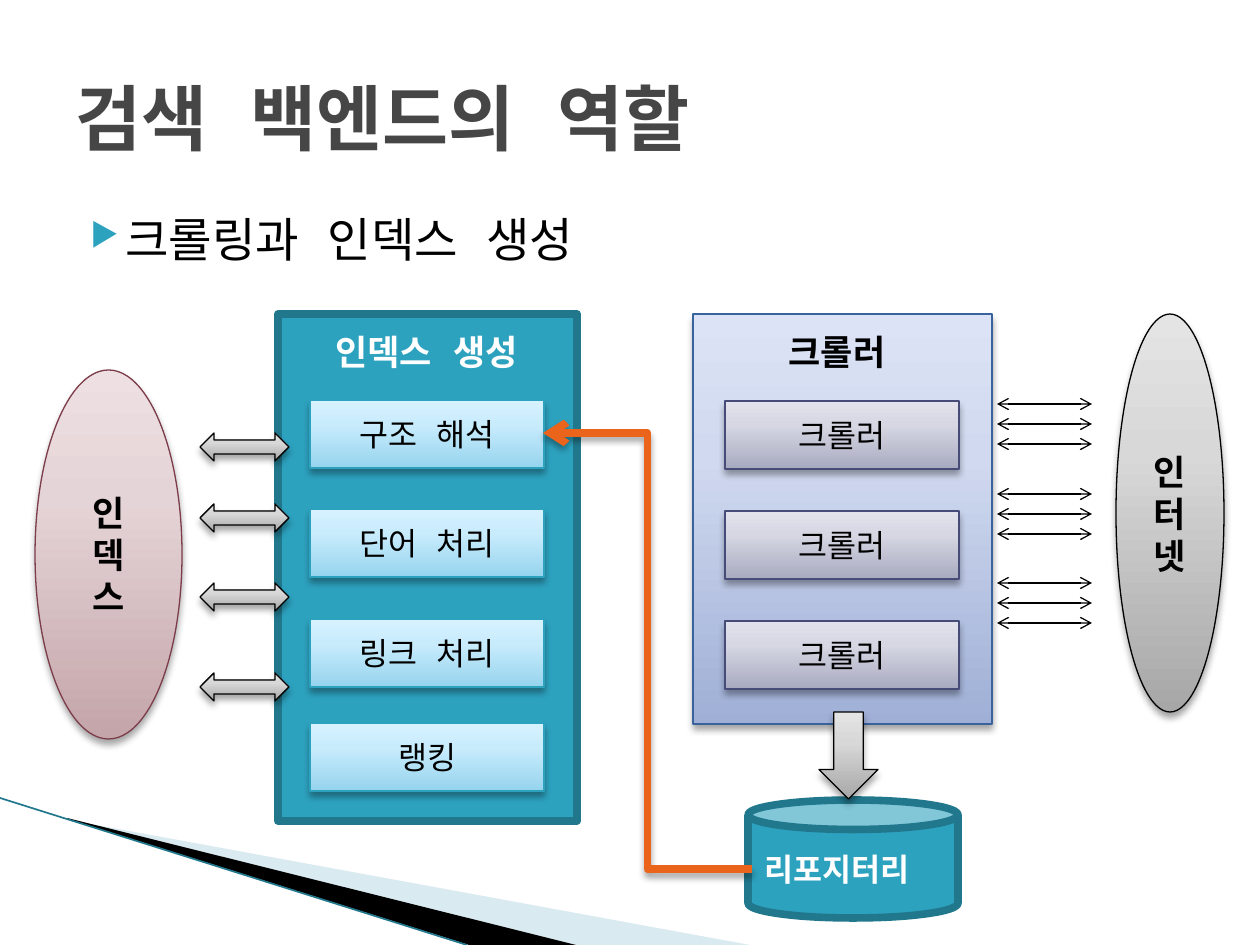
from dataclasses import dataclass

from lxml.etree import SubElement
from pptx import Presentation
from pptx.dml.color import RGBColor
from pptx.enum.shapes import MSO_CONNECTOR as Connector, MSO_SHAPE as Shape
from pptx.enum.text import MSO_ANCHOR as Anchor, MSO_AUTO_SIZE as AutoSize, PP_ALIGN as Align
from pptx.oxml.ns import qn
from pptx.util import Emu, Pt

SCALE = 914400 / 126  # EMU in one px


@dataclass(frozen=True)
class Theme:
    font: str = "Noto Sans Mono"
    title_size: int = 41
    body_size: int = 27
    heading_size: int = 20
    label_size: int = 18
    thin: float = 0.75
    thick: float = 4.33
    black: str = "000000"
    white: str = "FFFFFF"
    title: str = "464646"
    teal: str = "2DA2BF"
    dark_teal: str = "21788D"
    orange: str = "EB641B"
    pale: str = "A0CBDC"
    # gradient colours run from the bottom edge to the top edge
    sky: tuple = ("96D4EE", "C9ECFC", "D7F2FF")
    rose: tuple = ("C4A5A9", "E5D4D7", "EEE0E2")
    gray: tuple = ("A7A7A7", "D8D8D8", "E4E4E4")
    blue: tuple = ("9FAFD6", "D0D9EF", "DCE3F6")
    lilac: tuple = ("A8AAC0", "D6D7E3", "E2E2EC")
    rose_line: str = "7D3C4A"
    blue_line: str = "39639D"
    lilac_line: str = "474B78"


THEME = Theme()


def px(*lengths):
    return [Emu(round(length * SCALE)) for length in lengths]


def apply_format(target, values):
    for name, value in values.items():
        setattr(target, name, value)


def add_element(parent, tag, **attributes):
    return SubElement(parent, qn(tag), {name: str(value) for name, value in attributes.items()})


def add_effects(properties, shadow):
    effects = add_element(properties, "a:effectLst")
    if shadow:
        outer = add_element(effects, "a:outerShdw", blurRad=Pt(4), dist=Pt(3),
                            dir=90 * 60000, rotWithShape=0)
        color = add_element(outer, "a:srgbClr", val=THEME.black)
        add_element(color, "a:alpha", val=35000)


def set_line(line, color, width):
    line.color.rgb = RGBColor.from_string(color)
    line.width = Pt(width)


def set_fill(shape, fill):
    """Fill with one colour, or with a three-colour gradient."""
    if isinstance(fill, str):
        shape.fill.solid()
        shape.fill.fore_color.rgb = RGBColor.from_string(fill)
        return
    shape.fill.gradient()
    shape.fill.gradient_angle = 90
    stops = next(shape._element.spPr.iter(qn("a:gsLst")))
    for stop in list(stops):
        stops.remove(stop)
    for position, color in zip((0, 65000, 100000), fill):
        add_element(add_element(stops, "a:gs", pos=position), "a:srgbClr", val=color)


def write_text(frame, lines, size, color, bold=False, align=Align.LEFT):
    for index, text in enumerate(lines):
        paragraph = frame.paragraphs[0] if index == 0 else frame.add_paragraph()
        paragraph.alignment = align
        run = paragraph.add_run()
        run.text = text
        run.font.color.rgb = RGBColor.from_string(color)
        apply_format(run.font, {"size": Pt(size), "bold": bold, "name": THEME.font})
        add_element(run._r.rPr, "a:ea", typeface=THEME.font)


def add_box(slide, kind, box, fill, line, width=THEME.thin, shadow=True,
            lines=(), size=THEME.label_size, bold=False):
    shape = slide.shapes.add_shape(kind, *px(*box))
    set_fill(shape, fill)
    set_line(shape.line, line, width)
    add_effects(shape._element.spPr, shadow)
    apply_format(shape.text_frame, {"word_wrap": True, "vertical_anchor": Anchor.MIDDLE})
    write_text(shape.text_frame, lines, size, THEME.black, bold, Align.CENTER)


def add_text(slide, box, text, size, color, bold=False, **frame_format):
    frame = slide.shapes.add_textbox(*px(*box)).text_frame
    apply_format(frame, {"word_wrap": True, **frame_format})
    write_text(frame, [text], size, color, bold)
    return frame


def add_label(slide, box, text, size, color):
    add_text(slide, box, text, size, color, True,
             word_wrap=False, auto_size=AutoSize.SHAPE_TO_FIT_TEXT)


def add_line(slide, kind, ends, color, width, arrows=(), shadow=False):
    line = slide.shapes.add_connector(kind, *px(*ends))
    set_line(line.line, color, width)
    properties = line._element.spPr
    for end in arrows:
        add_element(properties.find(qn("a:ln")), f"a:{end}", type="arrow")
    add_effects(properties, shadow)


def draw_corner(slide):
    """Draw the wedges in the lower left corner."""
    wedges = (
        (THEME.pale, 40000, [(69, 820), (750, 945), (575, 945), (69, 819)]),
        (THEME.black, 100000, [(67, 818), (576, 945), (469, 945), (68, 819)]),
    )
    for color, alpha, points in wedges:
        builder = slide.shapes.build_freeform(*points[0], scale=SCALE)
        builder.add_line_segments(points[1:])
        wedge = builder.convert_to_shape()
        set_fill(wedge, color)
        add_element(next(wedge._element.spPr.iter(qn("a:srgbClr"))), "a:alpha", val=alpha)
        wedge.line.fill.background()
        wedge.shadow.inherit = False
    add_line(slide, Connector.STRAIGHT, (0, 798, 467, 945), THEME.dark_teal, 0.95)


def draw_heading(slide, box):
    left, top, width = box
    add_text(slide, (left, top, width, 158), "검색 백엔드의 역할", THEME.title_size,
             THEME.title, True, vertical_anchor=Anchor.MIDDLE)
    body = add_text(slide, (left, top + 166, width, 76), "크롤링과 인덱스 생성",
                    THEME.body_size, THEME.black)
    properties = body.paragraphs[0]._p.get_or_add_pPr()
    apply_format_values = {"marL": px(50)[0], "indent": px(-35)[0]}
    for name, value in apply_format_values.items():
        properties.set(name, str(value))
    add_element(add_element(properties, "a:buClr"), "a:srgbClr", val=THEME.teal)
    add_element(properties, "a:buSzPct", val=68000)
    add_element(properties, "a:buChar", char="▶")


def draw_panel(slide, box, panel, heading, steps, step_style):
    """Draw a panel with a heading and a column of step boxes."""
    left, top = box[:2]
    add_box(slide, Shape.RECTANGLE, box, **panel)
    text, offset, width, color = heading
    add_label(slide, (left + offset, top + 10, width, 55), text, THEME.heading_size, color)
    for step, step_offset in steps:
        add_box(slide, Shape.RECTANGLE, (left + 32, top + step_offset, 234, 68),
                *step_style, lines=[step])


def draw_store(slide, box, lines, fill, line):
    add_box(slide, Shape.OVAL, box, fill, line, lines=lines, size=THEME.heading_size, bold=True)


def draw_repository(slide, box):
    left, top = box[:2]
    add_box(slide, Shape.CAN, box, THEME.teal, THEME.dark_teal, THEME.thick, False)
    add_label(slide, (left + 4, top + 44, 184, 50), "리포지터리", THEME.label_size, THEME.white)


def draw_flows(slide):
    for top in (433, 504, 583, 673):
        add_box(slide, Shape.LEFT_RIGHT_ARROW, (200, top, 89, 28), THEME.gray, THEME.black)
    for group_top in (404, 494, 583):
        for y in range(group_top, group_top + 60, 20):
            add_line(slide, Connector.STRAIGHT, (997, y, 1092, y), THEME.black, THEME.thin,
                     ("headEnd", "tailEnd"))
    add_line(slide, Connector.ELBOW, (752, 869, 543, 433), THEME.orange, THEME.thick,
             ("tailEnd",), shadow=True)
    add_box(slide, Shape.DOWN_ARROW, (819, 712, 59, 87), THEME.gray, THEME.black)


def main():
    presentation = Presentation()
    apply_format(presentation, dict(zip(("slide_width", "slide_height"), px(1260, 945))))
    slide = presentation.slides.add_slide(presentation.slide_layouts[6])
    draw_corner(slide)
    draw_heading(slide, (63, 38, 1134))
    draw_panel(slide, (278, 314, 299, 507),
               {"fill": THEME.teal, "line": THEME.dark_teal, "width": THEME.thick, "shadow": False},
               ("인덱스 생성", 45, 213, THEME.white),
               zip(("구조 해석", "단어 처리", "링크 처리", "랭킹"), (86, 195, 305, 409)),
               (THEME.sky, THEME.teal))
    draw_panel(slide, (693, 314, 299, 410), {"fill": THEME.blue, "line": THEME.blue_line},
               ("크롤러", 83, 131, THEME.black),
               [("크롤러", 87 + 110 * row) for row in range(3)],
               (THEME.lilac, THEME.lilac_line))
    draw_store(slide, (35, 370, 147, 369), "인덱스", THEME.rose, THEME.rose_line)
    draw_store(slide, (1116, 314, 108, 398), ["인터넷"], THEME.gray, THEME.black)
    draw_repository(slide, (748, 800, 210, 118))
    draw_flows(slide)
    presentation.save("out.pptx")


if __name__ == "__main__":
    main()
